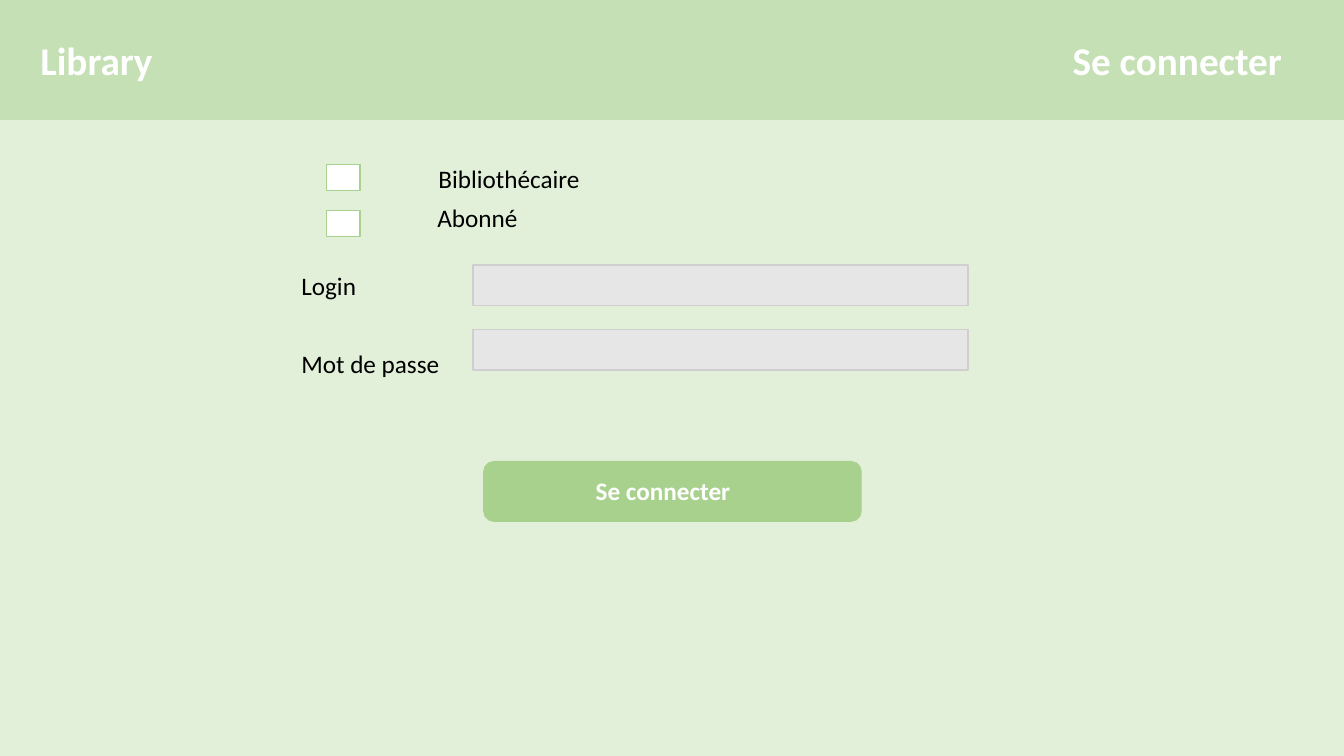
"""Build the library login slide."""
from dataclasses import dataclass

from pptx import Presentation
from pptx.dml.color import RGBColor
from pptx.enum.shapes import MSO_SHAPE as Preset
from pptx.enum.text import MSO_ANCHOR as Anchor, MSO_AUTO_SIZE as AutoSize, PP_ALIGN as Align
from pptx.util import Inches, Pt


@dataclass(frozen=True)
class Theme:
    font: str = "Calibri"
    heading_size: int = 28
    body_size: int = 18
    page: str = "E2F0D9"
    band: str = "C5E0B4"
    accent: str = "A9D18E"
    field: str = "E7E6E6"
    field_edge: str = "D0CECE"
    light: str = "FFFFFF"
    dark: str = "000000"


THEME = Theme()
LABEL = {"size": Pt(THEME.body_size), "bold": False}
BUTTON = {"size": Pt(THEME.body_size), "bold": True}
HEADING = {"size": Pt(THEME.heading_size), "bold": True}


def apply(target, formats):
    for name, value in formats.items():
        setattr(target, name, value)


def add_box(slide, bounds, fill, edge=None, preset=Preset.RECTANGLE):
    box = slide.shapes.add_shape(preset, *map(Inches, bounds))
    box.shadow.inherit = False
    box.fill.solid()
    box.fill.fore_color.rgb = RGBColor.from_string(fill)
    if edge:
        box.line.color.rgb = RGBColor.from_string(edge)
        box.line.width = Pt(1)
    else:
        box.line.fill.background()
    return box


def write_text(holder, wording, bounds, formats, color):
    apply(holder, dict(zip(("left", "top", "width", "height"), map(Inches, bounds))))
    frame = holder.text_frame
    apply(frame, {
        "text": wording,
        "word_wrap": True,
        "auto_size": AutoSize.SHAPE_TO_FIT_TEXT,
        "vertical_anchor": Anchor.TOP,
    })
    line = frame.paragraphs[0]
    line.alignment = Align.LEFT
    font = line.runs[0].font
    apply(font, {"name": THEME.font, **formats})
    font.color.rgb = RGBColor.from_string(color)


def add_text(slide, wording, bounds, formats=LABEL, color=THEME.dark):
    holder = slide.shapes.add_textbox(*map(Inches, bounds))
    write_text(holder, wording, bounds, formats, color)


def add_header(slide):
    band = add_box(slide, (0, 0, 13.33, 1.19), THEME.band)
    title = slide.shapes.title
    write_text(title, "Library", (0.3, 0.31, 3.09, 0.57), HEADING, THEME.light)
    band.element.addnext(title.element)
    add_text(slide, "Se connecter", (10.54, 0.31, 2.79, 0.57), HEADING, THEME.light)


def add_role(slide, role, box_top, label_left, label_top):
    add_box(slide, (3.24, box_top, 0.33, 0.26), THEME.light, THEME.accent)
    add_text(slide, role, (label_left, label_top, 2.34, 0.4))


def add_field(slide, label, label_top, label_width, field_top):
    add_text(slide, label, (2.89, label_top, label_width, 0.4))
    add_box(slide, (4.69, field_top, 4.91, 0.4), THEME.field, THEME.field_edge)


def add_button(slide, caption):
    add_box(slide, (4.8, 4.58, 3.74, 0.59), THEME.accent, THEME.accent,
            Preset.ROUNDED_RECTANGLE)
    add_text(slide, caption, (5.81, 4.67, 3.17, 0.4), BUTTON, THEME.light)


def main():
    deck = Presentation()
    apply(deck, {"slide_width": Inches(13.33), "slide_height": Inches(7.5)})
    slide = deck.slides.add_slide(deck.slide_layouts.get_by_name("Title Only"))
    add_box(slide, (0, 0.56, 13.33, 6.94), THEME.page)
    add_header(slide)
    add_field(slide, "Login", 2.63, 1.46, 2.63)
    add_field(slide, "Mot de passe", 3.41, 2.35, 3.27)
    add_button(slide, "Se connecter")
    add_role(slide, "Bibliothécaire", 1.63, 4.25, 1.57)
    add_role(slide, "Abonné", 2.09, 4.24, 1.96)
    deck.save("out.pptx")


if __name__ == "__main__":
    main()
